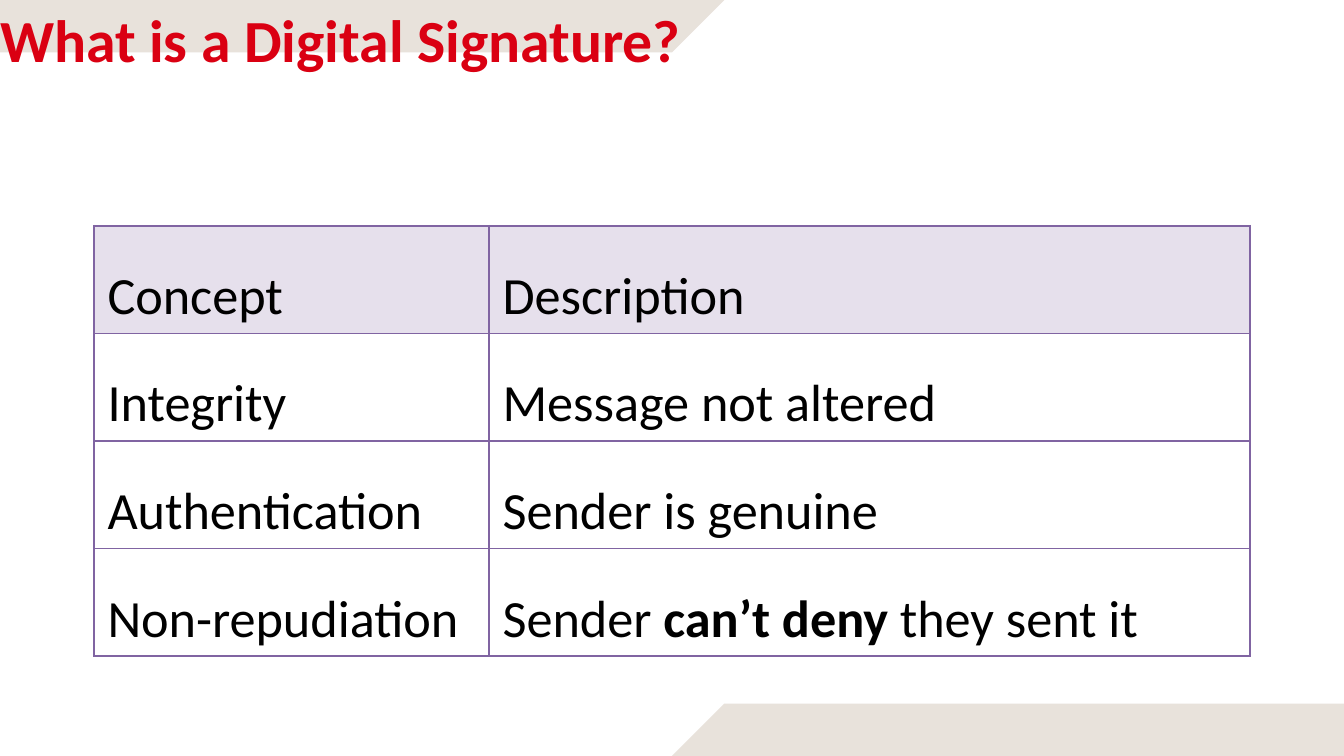
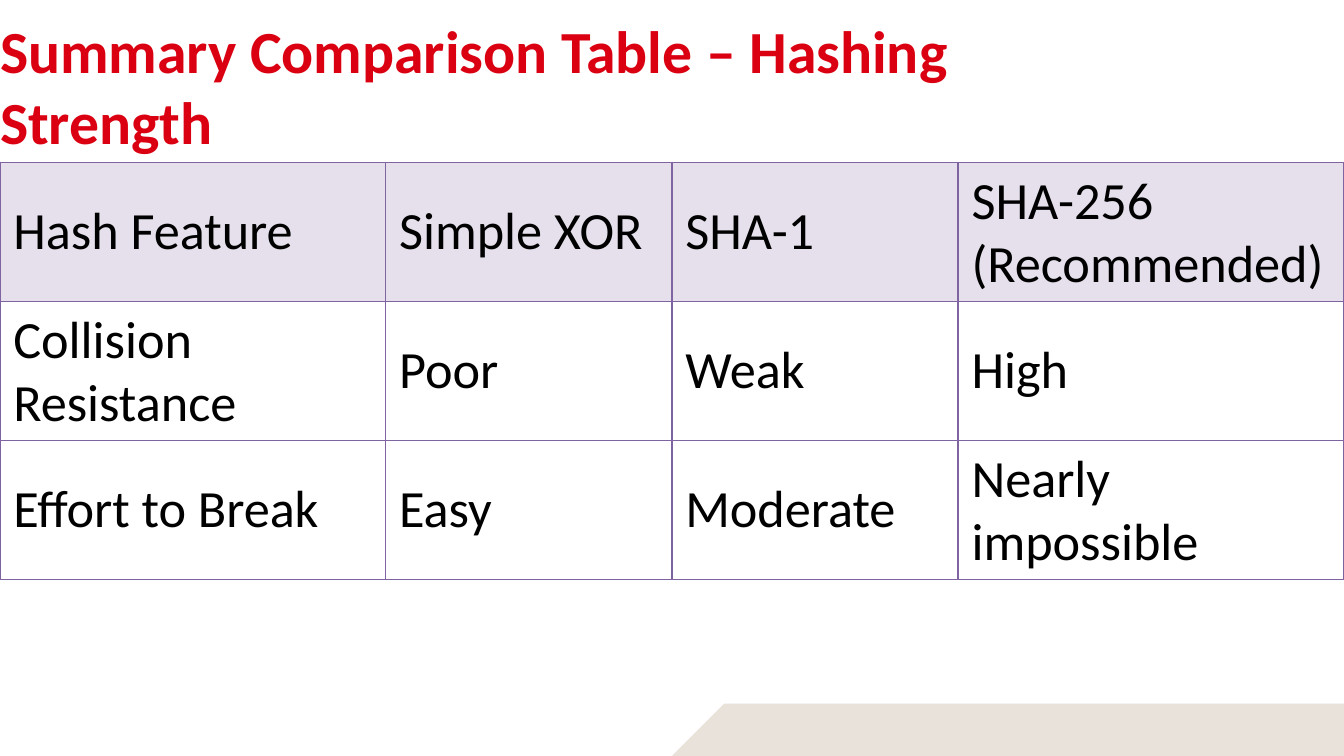
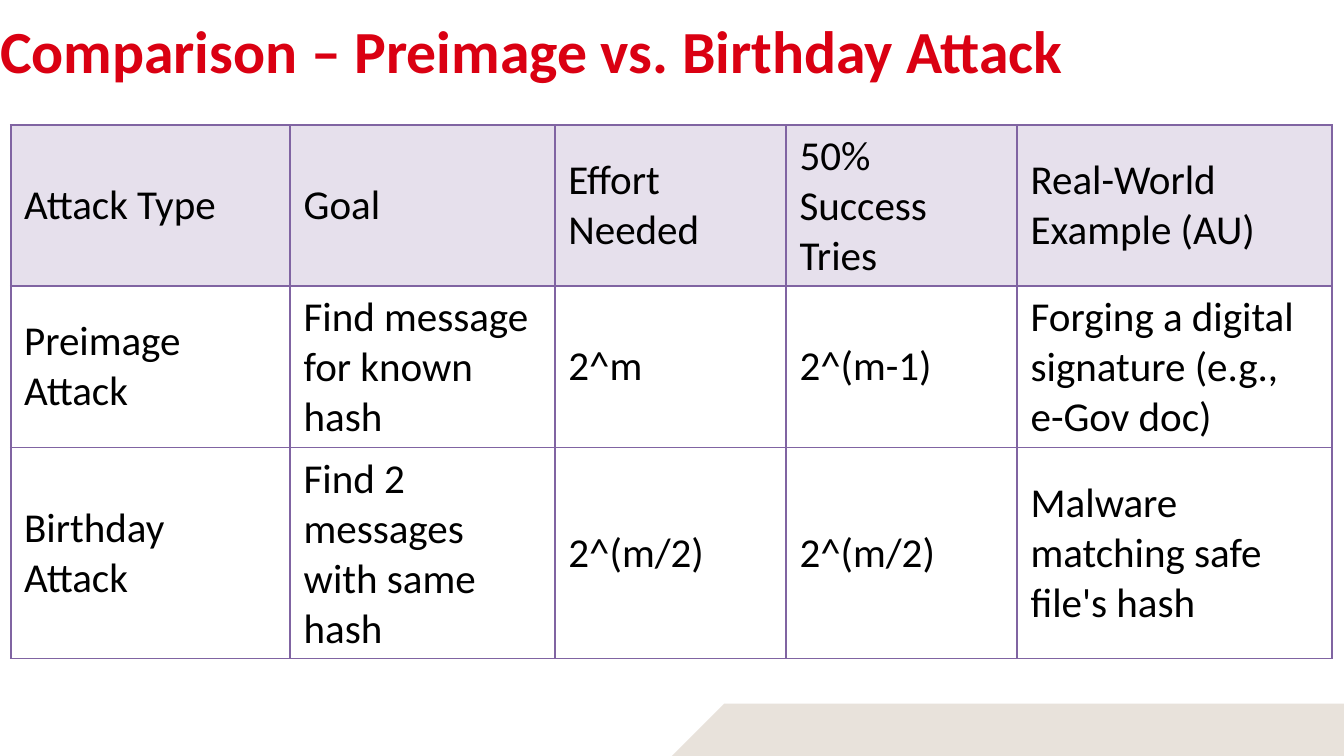
from lxml import etree
from pptx import Presentation
from pptx.dml.color import RGBColor
from pptx.enum.text import MSO_ANCHOR, MSO_AUTO_SIZE
from pptx.oxml.ns import qn
from pptx.util import Inches, Pt

MIDDLE, TOP = MSO_ANCHOR.MIDDLE, MSO_ANCHOR.TOP
GROW = MSO_AUTO_SIZE.SHAPE_TO_FIT_TEXT

FONT = "Calibri"
RED = RGBColor(0xDA, 0x00, 0x12)
SAND = RGBColor(0xE8, 0xE2, 0xDB)
LILAC = RGBColor(0xE6, 0xE0, 0xEC)
PURPLE = RGBColor(0x80, 0x64, 0xA2)
BLACK = RGBColor(0, 0, 0)
WHITE = RGBColor(0xFF, 0xFF, 0xFF)

WIDTH = 10
HEIGHT = WIDTH * 9 / 16
MID, SLANT_END, BAND = WIDTH / 2, 5.39, 0.39
TOP_BAND = [(0, 0), (SLANT_END, 0), (MID, BAND), (0, BAND)]
BOTTOM_BAND = [(SLANT_END, HEIGHT - BAND), (WIDTH, HEIGHT - BAND),
               (WIDTH, HEIGHT), (MID, HEIGHT)]


def add_band(slide, points):
    """Draw a slanted sand band through points given in inches."""
    corners = [(Inches(x), Inches(y)) for x, y in points]
    builder = slide.shapes.build_freeform(*corners[0])
    builder.add_line_segments(corners[1:], close=True)
    s = builder.convert_to_shape()
    s.shadow.inherit = False
    s.fill.solid()
    s.fill.fore_color.rgb = SAND
    s.line.fill.background()


def add_title(slide, text, box, fill=None):
    """Place the red title, on a plain fill if one is given."""
    s = slide.shapes.add_textbox(*map(Inches, box))
    if fill is not None:
        s.fill.solid()
        s.fill.fore_color.rgb = fill
    tf = s.text_frame
    tf.word_wrap = True
    tf.auto_size = GROW
    tf.vertical_anchor = TOP
    tf.margin_left = tf.margin_right = tf.margin_bottom = 0
    tf.margin_top = Inches(0.12)
    p = tf.paragraphs[0]
    p.text = text
    p.font.name, p.font.size, p.font.bold = FONT, Pt(32), True
    p.font.color.rgb = RED


def set_borders(cell):
    """Give all four sides of a cell a thin purple line."""
    tc_pr = cell._tc.get_or_add_tcPr()
    for side in ("a:lnL", "a:lnR", "a:lnT", "a:lnB"):
        ln = etree.SubElement(tc_pr, qn(side), w=str(Pt(1)))
        fill = etree.SubElement(ln, qn("a:solidFill"))
        etree.SubElement(fill, qn("a:srgbClr"), val=str(PURPLE))


def fill_cell(cell, text, size, spacing, is_header):
    """Write and style one cell; text between asterisks is bold."""
    set_borders(cell)
    if is_header:
        cell.fill.solid()
        cell.fill.fore_color.rgb = LILAC
    else:
        cell.fill.background()
    cell.vertical_anchor = MIDDLE
    p = cell.text_frame.paragraphs[0]
    p.line_spacing = spacing
    p.font.name, p.font.size = FONT, Pt(size)
    p.font.color.rgb = BLACK
    for i, part in enumerate(text.split("*")):
        r = p.add_run()
        r.text = part
        if i % 2:
            r.font.bold = True


def add_grid(slide, origin, widths, heights, rows, size, spacing=1.0):
    """Add a bordered table whose first row is a lilac header."""
    box = (*origin, sum(widths), sum(heights))
    frame = slide.shapes.add_table(len(rows), len(widths), *map(Inches, box))
    table = frame.table
    table.first_row = table.horz_banding = False
    for column, width in zip(table.columns, widths):
        column.width = Inches(width)
    for row, height in zip(table.rows, heights):
        row.height = Inches(height)
    for i, texts in enumerate(rows):
        for j, text in enumerate(texts):
            fill_cell(table.cell(i, j), text, size, spacing, i == 0)


def add_base(prs):
    """Add a blank slide with the two shared bands."""
    slide = prs.slides.add_slide(prs.slide_layouts[6])
    for points in (TOP_BAND, BOTTOM_BAND):
        add_band(slide, points)
    return slide


def signature_slide(prs):
    """Build the digital signature concepts slide."""
    slide = add_base(prs)
    add_title(slide, "What is a Digital Signature?", (0, -0.1, 8.99, 0.66))
    rows = [
        ("Concept", "Description"),
        ("Integrity", "Message not altered"),
        ("Authentication", "Sender is genuine"),
        ("Non-repudiation", "Sender *can’t deny* they sent it"),
    ]
    add_grid(slide, (0.7, 1.68), (2.94, 5.66), [0.73] * 4, rows, 28, 1.5)


def hashing_slide(prs):
    """Build the hashing strength slide."""
    slide = add_base(prs)
    add_title(slide, "Summary Comparison Table – Hashing Strength",
              (0, -0.02, 8.49, 1.2), WHITE)
    rows = [
        ("Hash Feature", "Simple XOR", "SHA-1", "SHA-256 (Recommended)"),
        ("Collision Resistance", "Poor", "Weak", "High"),
        ("Effort to Break", "Easy", "Moderate", "Nearly impossible"),
    ]
    add_grid(slide, (0, 1.21), (2.87, 2.13, 2.13, 2.87), [1.03] * 3, rows, 28)


def attack_slide(prs):
    """Build the preimage and birthday attack slide."""
    slide = add_base(prs)
    add_title(slide, "Comparison – Preimage vs. Birthday Attack",
              (0, -0.02, 8.49, 0.66), WHITE)
    rows = [
        ("Attack Type", "Goal", "Effort Needed", "50% Success Tries",
         "Real-World Example (AU)"),
        ("Preimage Attack", "Find message for known hash", "2^m", "2^(m-1)",
         "Forging a digital signature (e.g., e-Gov doc)"),
        ("Birthday Attack", "Find 2 messages with same hash", "2^(m/2)",
         "2^(m/2)", "Malware matching safe file's hash"),
    ]
    add_grid(slide, (0.08, 0.93), (2.08, 1.97, 1.72, 1.72, 2.34),
             (1.2, 1.2, 1.57), rows, 22)


def main():
    """Build and save the presentation."""
    prs = Presentation()
    prs.slide_width, prs.slide_height = Inches(WIDTH), Inches(HEIGHT)
    for build in (signature_slide, hashing_slide, attack_slide):
        build(prs)
    prs.save("out.pptx")


if __name__ == "__main__":
    main()
